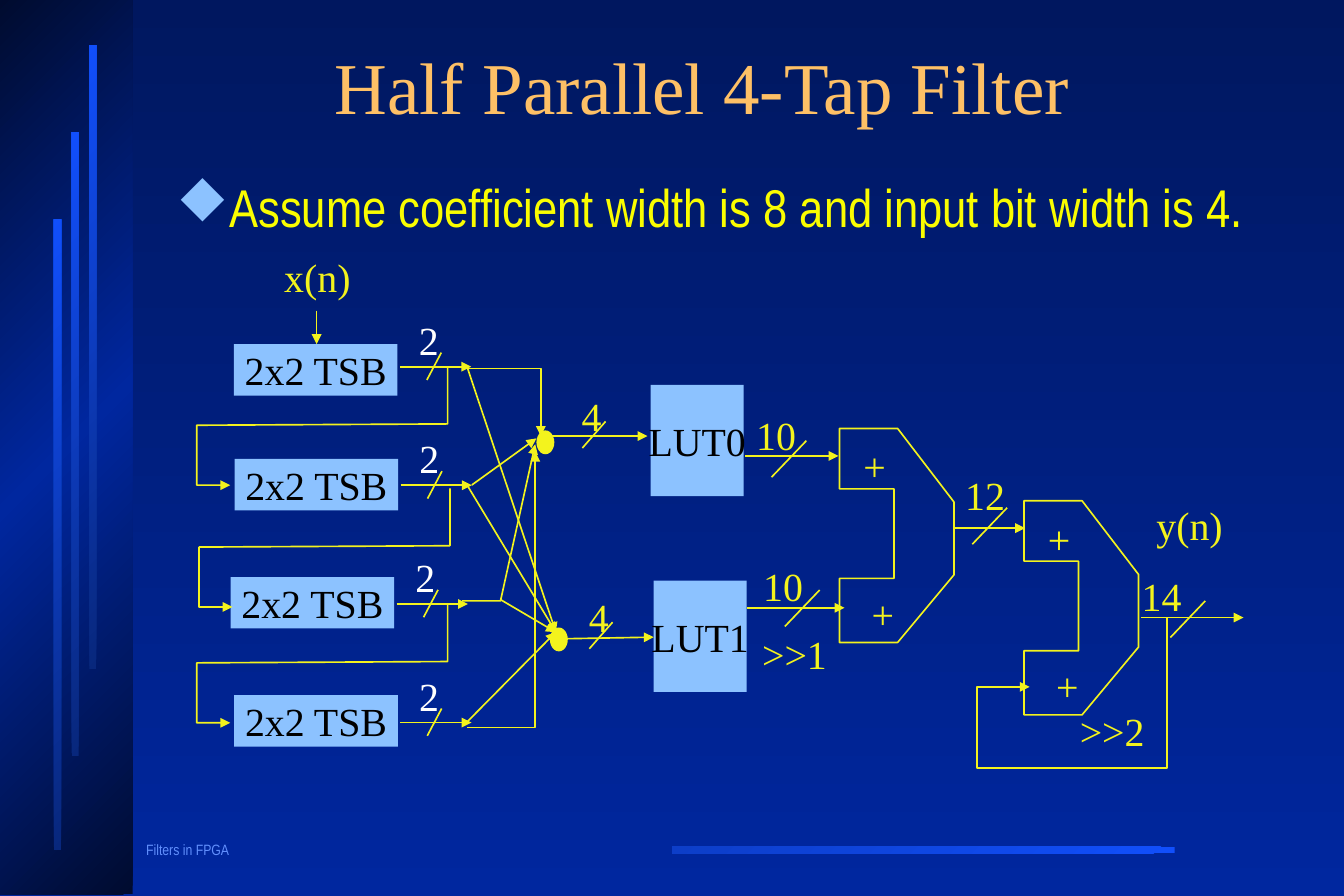
import copy
from dataclasses import dataclass

import pptx
import pptx.dml.color
import pptx.enum.shapes
import pptx.enum.text
import pptx.oxml
import pptx.oxml.ns
import pptx.util
from lxml import etree

Pt = pptx.util.Pt
qn = pptx.oxml.ns.qn
MSO_SHAPE = pptx.enum.shapes.MSO_SHAPE
PP_ALIGN = pptx.enum.text.PP_ALIGN
MSO_ANCHOR = pptx.enum.text.MSO_ANCHOR


@dataclass(frozen=True)
class Theme:
    serif: str = "Times New Roman"
    narrow: str = "Arial Narrow"
    bullet_face: str = "Wingdings"
    bullet_diamond: str = "u"
    title_size: int = 44
    body_size: int = 32
    diagram_size: int = 24
    footer_size: int = 9
    title: str = "FEC066"
    body: str = "FAFD00"
    block: str = "8CC2FF"
    block_text: str = "000000"
    wire: str = "F3F31D"
    bus_width: str = "FFFFFF"
    footer: str = "618FFD"
    backdrop: tuple = ("00175F", "00279F")
    panel: tuple = ("000B2F", "00279F", "000B2F")
    stripe: tuple = ("08277C", "114FFB")
    rule: tuple = ("114FFB", "0D3EC8")


THEME = Theme()


def rgb(value):
    return pptx.dml.color.RGBColor.from_string(value)


def paint_gradient(fill, element, colors, angle):
    fill.gradient()
    stops = element.find(".//" + qn("a:gsLst"))
    for _ in colors[2:]:
        stops.append(copy.deepcopy(stops[0]))
    for index, (stop, color) in enumerate(zip(fill.gradient_stops, colors)):
        stop.color.rgb = rgb(color)
        stop.position = index / (len(colors) - 1)
    fill.gradient_angle = angle


def format_paragraph(paragraph, text, face, size, color):
    paragraph.text = text
    paragraph.font.name = face
    paragraph.font.size = Pt(size)
    paragraph.font.color.rgb = rgb(color)


def add_solid(slide, kind, left, top, width, height, color=THEME.block):
    solid = slide.shapes.add_shape(kind, Pt(left), Pt(top), Pt(width), Pt(height))
    solid.shadow.inherit = False
    solid.fill.solid()
    solid.fill.fore_color.rgb = rgb(color)
    solid.line.fill.background()
    return solid


def add_band(slide, left, top, width, height, colors):
    band = add_solid(slide, MSO_SHAPE.RECTANGLE, left, top, width, height)
    paint_gradient(band.fill, band.element, colors, 135)


def add_block(slide, text, left, top, width, height):
    block = add_solid(slide, MSO_SHAPE.RECTANGLE, left, top, width, height)
    frame = block.text_frame
    frame.word_wrap = False
    frame.vertical_anchor = MSO_ANCHOR.MIDDLE
    frame.paragraphs[0].alignment = PP_ALIGN.CENTER
    format_paragraph(frame.paragraphs[0], text, THEME.serif, THEME.diagram_size, THEME.block_text)


def add_text(slide, left, top, width, height):
    box = slide.shapes.add_textbox(Pt(left), Pt(top), Pt(width), Pt(height))
    box.text_frame.word_wrap = True
    return box.text_frame.paragraphs[0]


def add_label(slide, text, left, top, width=60, color=THEME.wire):
    label = add_text(slide, left, top, width, 36)
    format_paragraph(label, text, THEME.serif, THEME.diagram_size, color)


def add_wire(slide, points, arrow=True, closed=False):
    corners = [(Pt(x), Pt(y)) for x, y in points]
    if len(corners) == 2:
        straight = pptx.enum.shapes.MSO_CONNECTOR.STRAIGHT
        wire = slide.shapes.add_connector(straight, *corners[0], *corners[1])
    else:
        builder = slide.shapes.build_freeform(*corners[0], scale=1.0)
        builder.add_line_segments(corners[1:], close=closed)
        wire = builder.convert_to_shape()
        wire.fill.background()
    wire.line.color.rgb = rgb(THEME.wire)
    wire.line.width = Pt(1)
    outline = wire.element.spPr.find(qn("a:ln"))
    if arrow:
        etree.SubElement(outline, qn("a:tailEnd"), type="triangle")
    etree.SubElement(wire.element.spPr, qn("a:effectLst"))


def add_slash(slide, right, top, width, height):
    add_wire(slide, [(right, top), (right - width, top + height)], arrow=False)


def add_adder(slide, left, top):
    outline = [(0, 0), (35, 0), (69, 44.4), (69, 88.2), (35, 129), (0, 129),
               (0, 90.4), (32.8, 90.4), (32.8, 36.4), (0, 36.4)]
    add_wire(slide, [(left + x, top + y) for x, y in outline], arrow=False, closed=True)
    add_label(slide, "+", left + 7.3, top + 4.7, 30)
    add_label(slide, "+", left + 12.3, top + 93.7, 30)


def add_delay_stage(slide, left, top, bus_y):
    add_block(slide, "2x2 TSB", left, top, 98.6, 31)
    bus_x = left + 100
    add_wire(slide, [(bus_x, bus_y), (bus_x + 43, bus_y)])
    add_slash(slide, bus_x + 25, bus_y - 8.5, 8.7, 16.5)
    add_label(slide, "2", bus_x + 4.3, bus_y - 34.5, 26, THEME.bus_width)


def add_stage_link(slide, x, y):
    turns = [(0, 0), (0, 34.5), (-151.2, 35.3), (-151.2, 71.4), (-131, 71.4)]
    add_wire(slide, [(x + dx, y + dy) for dx, dy in turns])


def add_frame(slide):
    paint_gradient(slide.background.fill, slide.element, THEME.backdrop, 270)
    footer = add_text(slide, 81, 504, 108, 16.5)
    footer.line_spacing = 0.9
    format_paragraph(footer, "Filters in FPGA", THEME.narrow, THEME.footer_size, THEME.footer)
    add_band(slide, 405, 510.2, 303, 4, THEME.rule)
    add_band(slide, 0, 0, 80, 539, THEME.panel)
    for step, height in enumerate((380, 376, 376)):
        add_band(slide, 32.5 + 10.7 * step, 132.3 - 52.5 * step, 4.3, height, THEME.stripe)


def add_heading(slide):
    title = slide.shapes.title
    title.left, title.top, title.width, title.height = Pt(98.6), Pt(23.8), Pt(649.4), Pt(63.4)
    title.text_frame.vertical_anchor = MSO_ANCHOR.MIDDLE
    heading = title.text_frame.paragraphs[0]
    heading.alignment = PP_ALIGN.CENTER
    heading.line_spacing = 0.85
    format_paragraph(heading, "Half Parallel 4-Tap Filter", THEME.serif, THEME.title_size, THEME.title)


def add_assumption(slide):
    assumption = add_text(slide, 99.2, 105.8, 662, 48)
    assumption.line_spacing = 0.9
    properties = assumption._p.get_or_add_pPr()
    properties.set("marL", str(Pt(27)))
    properties.set("indent", str(-Pt(27)))
    bullet_color = etree.SubElement(properties, qn("a:buClr"))
    etree.SubElement(bullet_color, qn("a:srgbClr"), val=THEME.block)
    etree.SubElement(properties, qn("a:buFont"), typeface=THEME.bullet_face, charset="2")
    etree.SubElement(properties, qn("a:buChar"), char=THEME.bullet_diamond)
    format_paragraph(assumption, "Assume coefficient width is 8 and input bit width is 4.",
                     THEME.narrow, THEME.body_size, THEME.body)


def add_diagram(slide):
    add_label(slide, "x(n)", 164.2, 148.5, 56)
    add_wire(slide, [(190.8, 187.2), (190.8, 207.4)])
    stages = [(141, 207.4), (141.4, 276.6), (139, 347.8), (141.2, 419)]
    for index, (left, top) in enumerate(stages):
        add_delay_stage(slide, left, top, 221 + 71.5 * index)
    for x, y in [(269.8, 221), (271.2, 294.4), (269.8, 364.2)]:
        add_stage_link(slide, x, y)

    upper_inputs = [
        [(282, 222.2), (326, 222.2), (326, 262.8)],
        [(284.4, 292.3), (323.3, 264.2)],
        [(278.6, 362.2), (301.7, 362.2), (322.6, 267.8)],
        [(281.5, 438.5), (322.6, 438.5), (322.6, 272.2)],
    ]
    lower_inputs = [[start, (335, 381)] for start in
                    [(301.7, 361.4), (281.5, 292.3), (281.5, 221), (281, 435.6)]]
    for points in upper_inputs + lower_inputs:
        add_wire(slide, points)
    for left, top in [(323.3, 259.4), (331.4, 378.2)]:
        add_solid(slide, MSO_SHAPE.OVAL, left, top, 10.8, 14.4, THEME.wire)

    for name, left, top in [("LUT0", 392.2, 232), ("LUT1", 394, 350)]:
        add_block(slide, name, left, top, 56, 67)
    for left, top in [(506, 258.2), (617.2, 301.8)]:
        add_adder(slide, left, top)

    for points in [
        [(325.4, 262.8), (390.2, 262.8)],
        [(339, 385), (394, 384)],
        [(449.3, 274.8), (505.4, 274.8)],
        [(450, 366.3), (509, 366.3)],
        [(575.3, 318.3), (617.8, 318.3)],
        [(687.6, 372.2), (749.5, 372.2)],
        [(703.4, 372.2), (703.4, 463), (589, 463), (589, 414), (620.6, 414)],
    ]:
        add_wire(slide, points)

    for right, top in [(365, 254), (369.2, 375)]:
        add_slash(slide, right, top, 14, 16)
    for right, top in [(486, 265.6), (494, 355.6), (607, 306), (726.4, 362.2)]:
        add_slash(slide, right, top, 21, 22)

    for text, left, top in [
        ("4", 343.4, 232.6), ("4", 347.8, 353.5), ("10", 448.6, 244), ("10", 452.9, 334.8),
        ("12", 574.6, 280), ("14", 681, 341.3), (">>1", 452.2, 375.8), (">>2", 643.7, 422.6),
        ("y(n)", 689.8, 298),
    ]:
        add_label(slide, text, left, top)


def main():
    deck = pptx.Presentation()
    deck.slide_width, deck.slide_height = Pt(810), Pt(540)
    slide = deck.slides.add_slide(deck.slide_layouts[5])
    add_frame(slide)
    add_heading(slide)
    add_assumption(slide)
    add_diagram(slide)
    deck.save("out.pptx")


if __name__ == "__main__":
    main()
